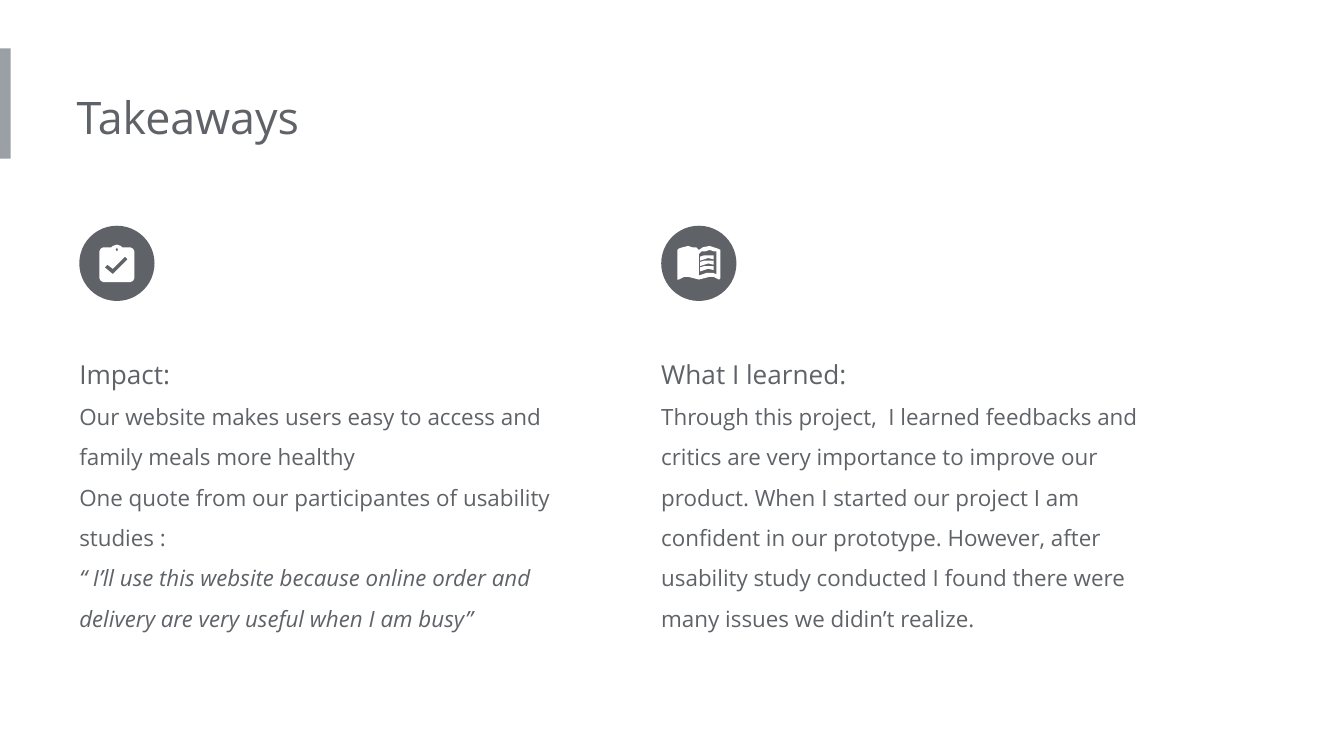
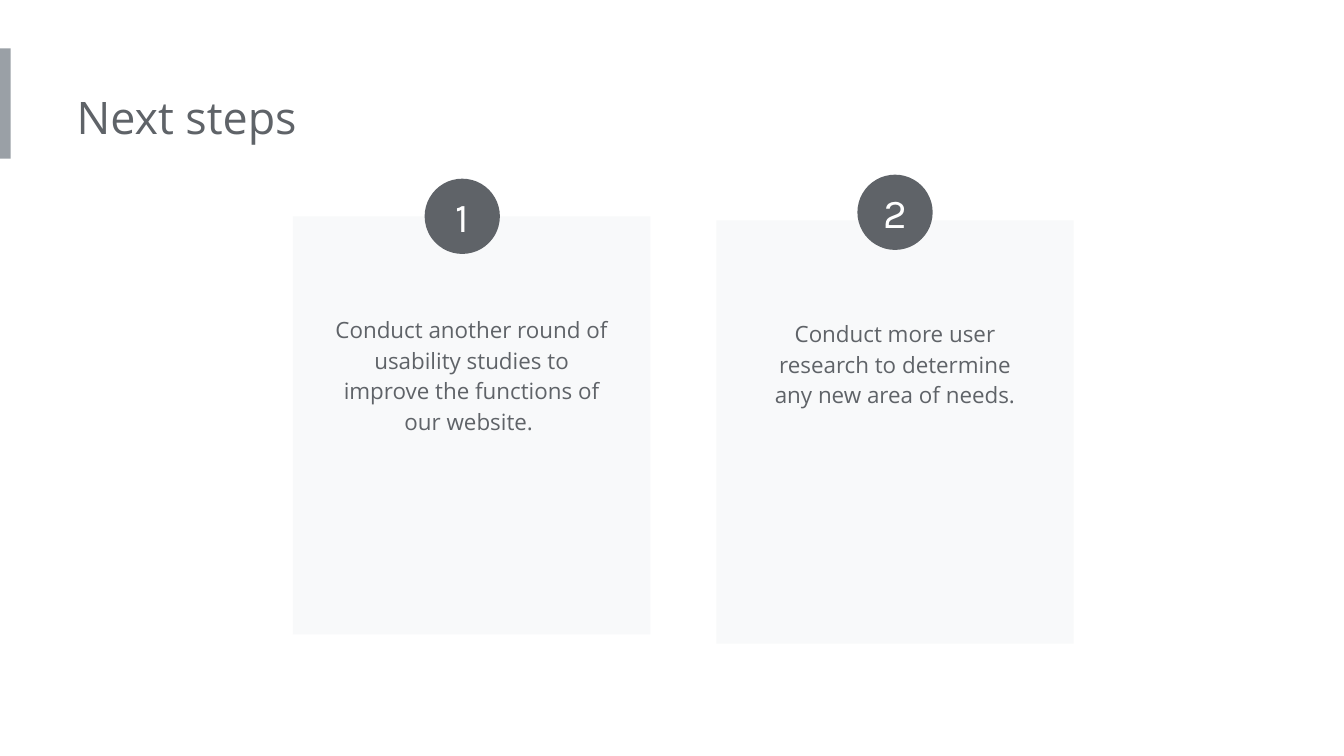
"""Build the takeaways and next steps slides of a design case study."""
from pptx import Presentation
from pptx.dml.color import RGBColor
from pptx.enum.shapes import MSO_SHAPE
from pptx.enum.text import MSO_ANCHOR, MSO_AUTO_SIZE, PP_ALIGN
from pptx.util import Inches, Pt

RECTANGLE, OVAL = MSO_SHAPE.RECTANGLE, MSO_SHAPE.OVAL
TOP, MIDDLE = MSO_ANCHOR.TOP, MSO_ANCHOR.MIDDLE
LEFT, CENTER = PP_ALIGN.LEFT, PP_ALIGN.CENTER
GROW = MSO_AUTO_SIZE.SHAPE_TO_FIT_TEXT

COLORS = {"text": "5F6368", "band": "9AA0A6", "card": "F8F9FA", "white": "FFFFFF"}
FONT, NUMBER_FONT = "Open Sans", "Karla"
FLUSH, PADDED, NONE = (0, 0.1, 0.1, 0.1), (0.1,) * 4, (0,) * 4
BADGE = 0.56
TITLE_ONLY = 5


def paint(shape, color):
    shape.shadow.inherit = False
    shape.fill.solid()
    shape.fill.fore_color.rgb = RGBColor.from_string(COLORS[color])
    shape.line.fill.background()


def write(frame, lines, insets, align=LEFT, spacing=1.0, anchor=TOP, font=FONT, color="text"):
    frame.word_wrap = True
    frame.vertical_anchor = anchor
    frame.margin_left, frame.margin_top, frame.margin_right, frame.margin_bottom = map(Inches, insets)
    for number, (text, size, italic) in enumerate(lines):
        paragraph = frame.add_paragraph() if number else frame.paragraphs[0]
        paragraph.text = text
        paragraph.alignment = align
        paragraph.line_spacing = spacing
        style = paragraph.runs[0].font
        style.name, style.size, style.italic = font, Pt(size), italic
        style.color.rgb = RGBColor.from_string(COLORS[color])


prs = Presentation()
prs.slide_width = Inches(10)
prs.slide_height = prs.slide_width * 9 // 16

slides = []
for heading in ("Takeaways", "Next steps"):
    slide = prs.slides.add_slide(prs.slide_layouts[TITLE_ONLY])
    title = slide.shapes.title
    title.left, title.top, title.width, title.height = map(Inches, (0.57, 0.57, 5.39, 0.61))
    write(title.text_frame, [(heading, 24, False)], FLUSH)
    title.text_frame.auto_size = GROW
    band = slide.shapes.add_shape(RECTANGLE, 0, Inches(0.36), Inches(0.08), Inches(0.82))
    paint(band, "band")
    slides.append(slide)
takeaways, next_steps = slides

clipboard = [
    [(0.97, 1.84), (0.91, 1.84), (0.9, 1.83), (0.87, 1.82), (0.84, 1.83), (0.83, 1.84),
     (0.77, 1.84), (0.75, 1.85), (0.74, 1.87), (0.74, 2.07), (0.75, 2.09), (0.77, 2.1),
     (0.97, 2.1), (0.99, 2.09), (1, 2.07), (1, 1.87), (0.99, 1.85)],
    [(0.87, 1.84), (0.88, 1.86), (0.87, 1.87), (0.86, 1.86)],
    [(0.84, 2.04), (0.78, 1.99), (0.8, 1.97), (0.84, 2), (0.93, 1.91), (0.95, 1.93)],
]
book = [
    [(5.12, 1.83), (5.08, 1.84), (5.05, 1.85), (5.04, 1.86), (5.04, 2.08), (5.05, 2.08),
     (5.09, 2.06), (5.12, 2.06), (5.16, 2.07), (5.2, 2.08), (5.24, 2.07), (5.28, 2.06),
     (5.31, 2.06), (5.35, 2.08), (5.36, 2.07), (5.36, 1.86), (5.34, 1.85), (5.31, 1.84),
     (5.28, 1.83), (5.23, 1.84), (5.2, 1.86), (5.18, 1.84), (5.15, 1.84)],
    [(5.28, 1.86), (5.31, 1.87), (5.33, 1.87), (5.33, 2.04), (5.3, 2.03), (5.26, 2.03),
     (5.23, 2.04), (5.2, 2.05), (5.2, 1.89), (5.22, 1.87), (5.25, 1.87)],
]
book_lines = [
    [[(5.21, y + 0.01), (5.24, y), (5.31, y), (5.31, y + 0.03), (5.27, y + 0.02),
      (5.24, y + 0.03), (5.21, y + 0.04)]]
    for y in (1.9, 1.94, 1.98)
]

impact = [
    ("Impact:", 14, False),
    ("Our website makes users easy to access and family meals more healthy", 12, False),
    ("One quote from our participantes of usability studies :", 12, False),
    ("“ I’ll use this website because online order and delivery are very useful "
     "when I am busy”", 12, True),
]
learned = [
    ("What I learned:", 14, False),
    ("Through this project,  I learned feedbacks and critics are very importance to improve "
     "our product. When I started our project I am confident in our prototype. However, after "
     "usability study conducted I found there were many issues we didin’t realize.", 12, False),
]

for left, height, lines, icon in (
    (0.59, 2.68, impact, [clipboard]),
    (4.92, 2.37, learned, [book, *book_lines]),
):
    column = takeaways.shapes.add_textbox(Inches(left), Inches(2.45), Inches(3.77), Inches(height))
    write(column.text_frame, lines, FLUSH, spacing=1.5)
    column.text_frame.auto_size = GROW
    badge = takeaways.shapes.add_shape(OVAL, Inches(left), Inches(1.68), Inches(BADGE), Inches(BADGE))
    paint(badge, "text")
    for contours in icon:
        outline = None
        for contour in contours:
            start, *rest = [(Inches(x), Inches(y)) for x, y in contour]
            if outline is None:
                outline = takeaways.shapes.build_freeform(*start)
            else:
                outline.move_to(*start)
            outline.add_line_segments(rest, close=True)
        paint(outline.convert_to_shape(), "white")

steps = [
    (2.18, 1.61, 3.11, 3.16, 1.33,
     "Conduct another round of usability studies to improve the functions of our website. "),
    (5.33, 1.64, 3.15, 6.38, 1.3,
     "Conduct more user research to determine any new area of needs."),
]
for number, (left, top, height, badge_left, badge_top, text) in enumerate(steps, 1):
    card = next_steps.shapes.add_shape(RECTANGLE, Inches(left), Inches(top), Inches(2.66), Inches(height))
    paint(card, "card")
    step = next_steps.shapes.add_textbox(
        Inches(left + 0.21), Inches(top + 0.61), Inches(2.24), Inches(1.13))
    write(step.text_frame, [(text, 12, False)], PADDED, CENTER, 1.15)
    step.text_frame.auto_size = GROW
    badge = next_steps.shapes.add_shape(
        OVAL, Inches(badge_left), Inches(badge_top), Inches(BADGE), Inches(BADGE))
    paint(badge, "text")
    write(badge.text_frame, [(str(number), 22, False)], NONE, CENTER,
          anchor=MIDDLE, font=NUMBER_FONT, color="white")

prs.save("out.pptx")
